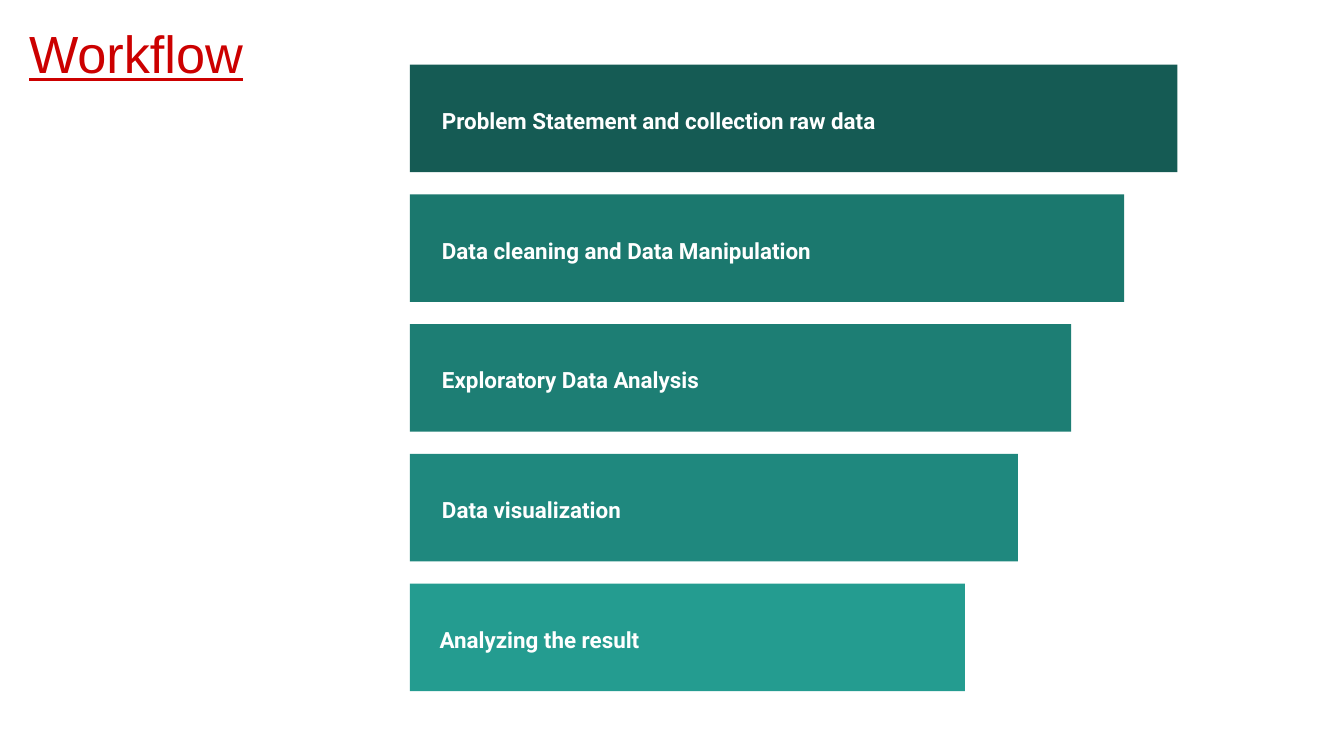
from pptx import Presentation
from pptx.dml.color import RGBColor
from pptx.enum.shapes import MSO_SHAPE as Shape
from pptx.enum.text import MSO_ANCHOR as Anchor, MSO_AUTO_SIZE as AutoSize, PP_ALIGN as Align
from pptx.util import Pt

COLORS = {
    "title": "CC0000",
    "label": "FFFFFF",
    "step1": "155B54",
    "step2": "1B786E",
    "step3": "1D7E74",
    "step4": "1F887E",
    "step5": "249C90",
}
TITLE_FONT = {"name": "Arial", "size": Pt(28), "bold": False, "underline": True}
LABEL_FONT = {"name": "Roboto", "size": Pt(12), "bold": True}
TITLE_FRAME = {
    "word_wrap": True, "auto_size": AutoSize.NONE, "vertical_anchor": Anchor.TOP,
    "margin_left": Pt(7.2), "margin_right": Pt(7.2),
    "margin_top": Pt(7.2), "margin_bottom": Pt(7.2),
}
LABEL_FRAME = {
    **TITLE_FRAME, "vertical_anchor": Anchor.MIDDLE,
    "margin_top": Pt(3.6), "margin_bottom": Pt(3.6),
}
STEPS = [
    ("Problem Statement and collection raw data", 10.1, 375),
    ("Data cleaning and Data Manipulation", 10.1, 344),
    ("Exploratory Data Analysis", 10.1, 303),
    ("Data visualization", 10.1, 303),
    ("Analyzing the result", 8.8, 276),
]
BAR_HEIGHT = 57.6
BAR_SHRINK = 28.45
LABEL_HEIGHT = 26


def apply(target, values):
    for name, value in values.items():
        setattr(target, name, value)


def write(frame, text, color, frame_format, font_format, spacing):
    apply(frame, frame_format)
    para = frame.paragraphs[0]
    apply(para, {"alignment": Align.LEFT, "line_spacing": spacing, "space_before": Pt(0)})
    span = para.add_run()
    span.text = text
    apply(span.font, font_format)
    span.font.color.rgb = RGBColor.from_string(COLORS[color])


def place_title(page, left, top, width, height):
    title = page.shapes.title
    apply(title, {"left": Pt(left), "top": Pt(top), "width": Pt(width), "height": Pt(height)})
    write(title.text_frame, "Workflow", "title", TITLE_FRAME, TITLE_FONT, 1.0)


def place_step(page, left, top, width, number, text, indent, label_width):
    group = page.shapes.add_group_shape()
    bar = group.shapes.add_shape(
        Shape.RECTANGLE, Pt(left), Pt(top), Pt(width), Pt(BAR_HEIGHT))
    bar.shadow.inherit = False
    bar.fill.solid()
    bar.fill.fore_color.rgb = RGBColor.from_string(COLORS[f"step{number}"])
    bar.line.fill.background()
    label = group.shapes.add_textbox(
        Pt(left + indent), Pt(top + (BAR_HEIGHT - LABEL_HEIGHT) / 2),
        Pt(label_width), Pt(LABEL_HEIGHT))
    write(label.text_frame, text, "label", LABEL_FRAME, LABEL_FONT, 1.15)


def place_steps(page, left, top, width, height):
    pitch = (height - BAR_HEIGHT) / (len(STEPS) - 1)
    for index, step in enumerate(STEPS):
        place_step(page, left, top + index * pitch, width - index * BAR_SHRINK,
                   index + 1, *step)


def main():
    deck = Presentation()
    apply(deck, {"slide_width": Pt(720), "slide_height": Pt(405)})
    page = deck.slides.add_slide(deck.slide_layouts[5])
    place_title(page, 8.4, 4.3, 134, 50.4)
    place_steps(page, 219.6, 34.6, 411.1, 335.7)
    deck.save("out.pptx")


if __name__ == "__main__":
    main()
